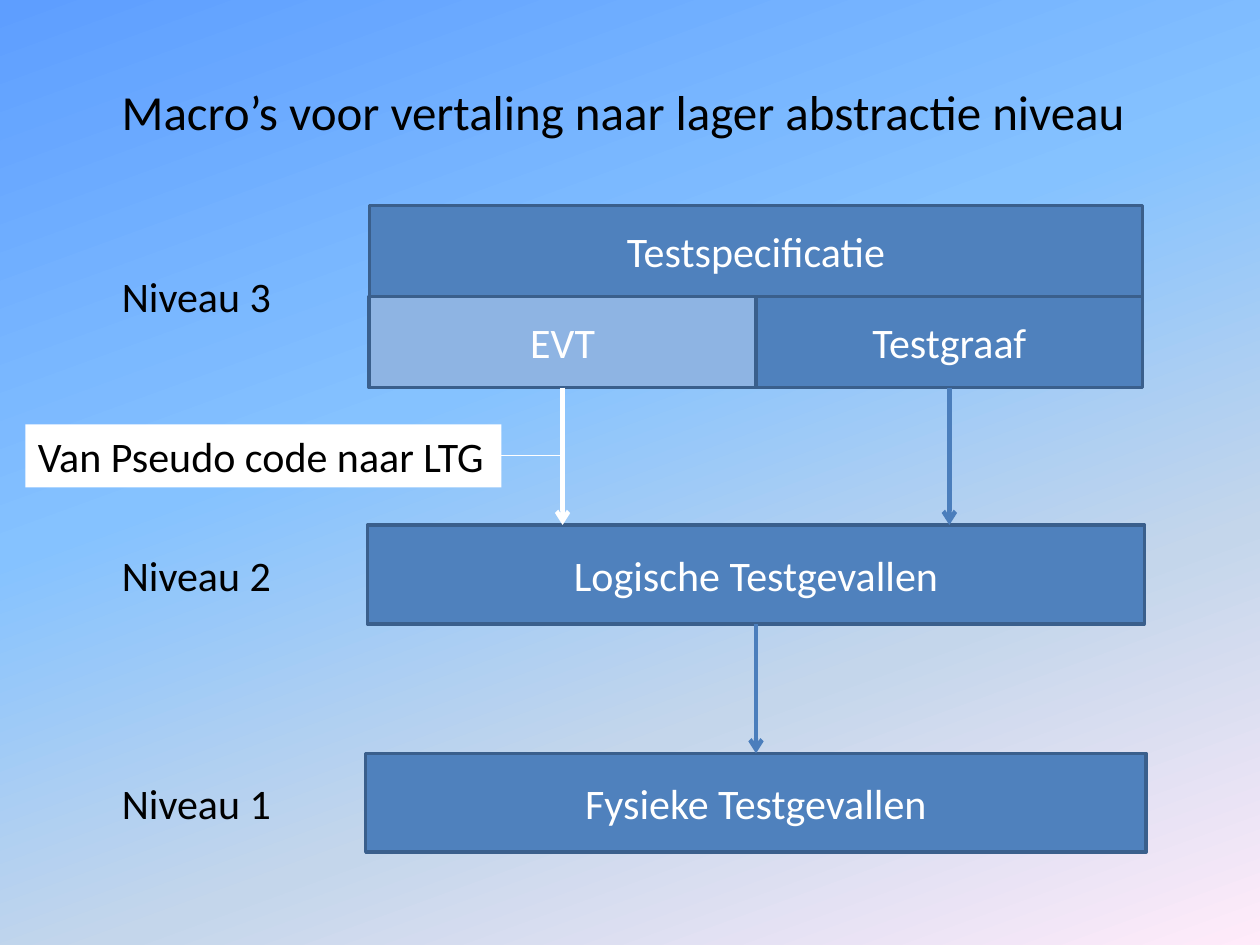
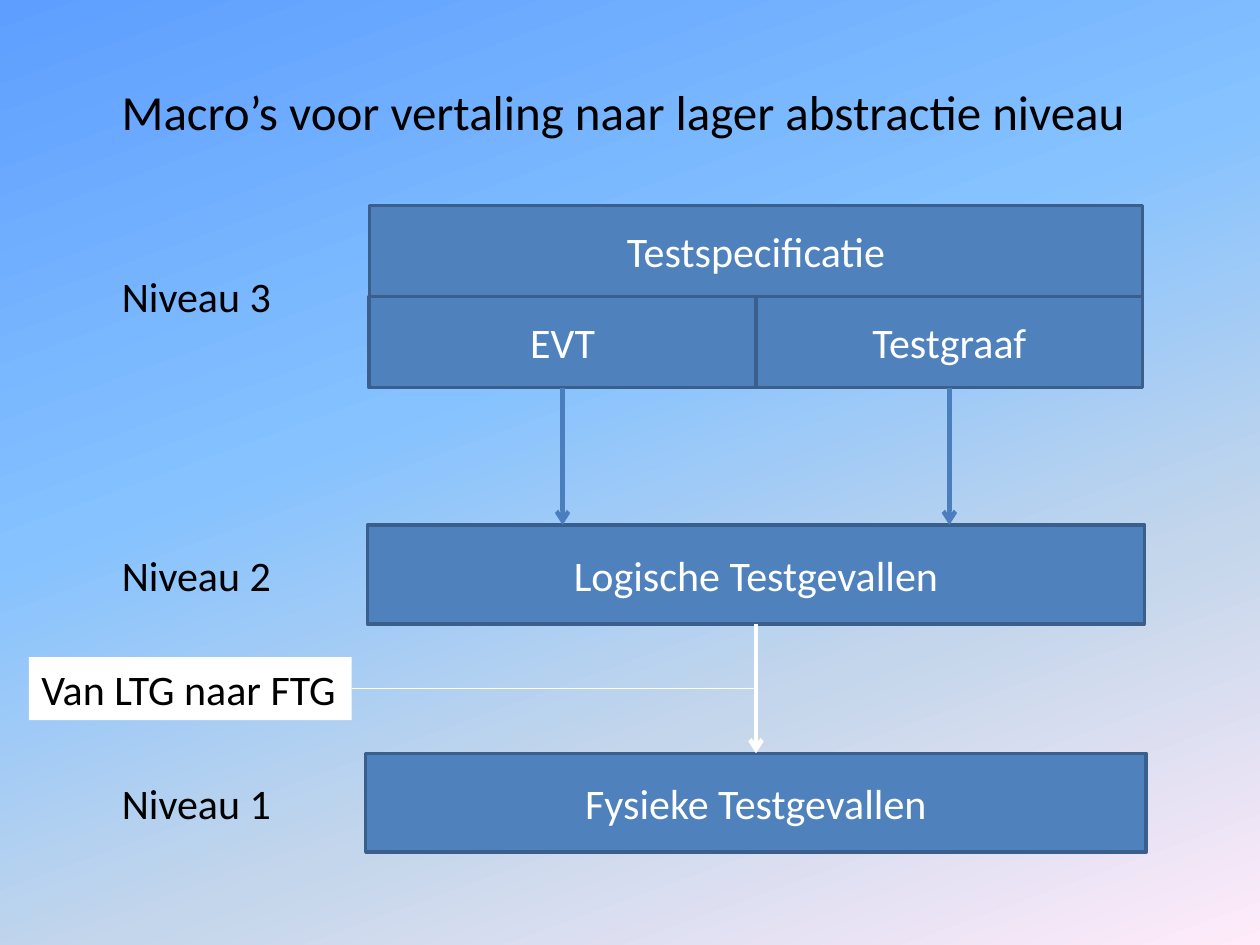
from copy import deepcopy

from pptx import Presentation
from pptx.dml.color import RGBColor
from pptx.enum.shapes import MSO_CONNECTOR as Connector, MSO_SHAPE as Shape
from pptx.enum.text import MSO_ANCHOR as Anchor, MSO_AUTO_SIZE as AutoSize, PP_ALIGN as Align
from pptx.oxml.ns import qn
from pptx.oxml.xmlchemy import OxmlElement
from pptx.util import Pt

COLOURS = {
    "box": "4F81BD", "marked box": "8EB4E3", "border": "3A5F8C",
    "arrow": "4B7EBC", "white": "FFFFFF", "black": "000000",
}
BACKGROUND = [(0, "5E9EFF"), (0.4, "85C2FF"), (0.7, "C4D6EB"), (1, "FFEBFA")]
FONT = "Calibri"
TOP, LEFT, BOTTOM, RIGHT = range(4)

# Diagram measures in points
CENTRE = 432
LABEL_LEFT = 62.5
LINE_HEIGHT = 36
SPEC_TOP, SPEC_HEIGHT, SPEC_WIDTH = 117.5, 52, 442
HALF = SPEC_WIDTH / 2
LOGICAL_TOP, PHYSICAL_TOP, LEVEL_HEIGHT = 300, 430.5, 56.5


def rgb(name):
    return RGBColor.from_string(COLOURS[name])


class Diagram:
    """Holds the shared style and the current slide."""

    def __init__(self):
        self.deck = Presentation()
        self.deck.slide_width, self.deck.slide_height = Pt(720), Pt(540)
        self.page = None
        self.set_background()

    def set_background(self):
        master = self.deck.slide_master
        fill = master.background.fill
        fill.gradient()
        fill.gradient_angle = 290
        stops = master.element.find(".//" + qn("a:gsLst"))
        while len(stops) < len(BACKGROUND):
            stops.append(deepcopy(stops[0]))
        for stop, (position, colour) in zip(fill.gradient_stops, BACKGROUND):
            stop.position = position
            stop.color.rgb = RGBColor.from_string(colour)

    def new_page(self):
        self.page = self.deck.slides.add_slide(self.deck.slide_layouts[6])

    def put_text(self, shape, text, colour, size=24, align=Align.LEFT, **frame_format):
        frame = shape.text_frame
        for name, value in frame_format.items():
            setattr(frame, name, value)
        para = frame.paragraphs[0]
        para.alignment = align
        span = para.add_run()
        span.text = text
        for name, value in {"name": FONT, "size": Pt(size)}.items():
            setattr(span.font, name, value)
        span.font.color.rgb = rgb(colour)

    def rectangle(self, left, top, width, height, fill):
        box = self.page.shapes.add_shape(
            Shape.RECTANGLE, Pt(left), Pt(top), Pt(width), Pt(height))
        box.shadow.inherit = False
        box.fill.solid()
        box.fill.fore_color.rgb = rgb(fill)
        return box

    def box(self, text, centre, top, width, height, fill="box"):
        box = self.rectangle(centre - width / 2, top, width, height, fill)
        box.line.color.rgb = rgb("border")
        box.line.width = Pt(2)
        self.put_text(box, text, "white", align=Align.CENTER,
                      vertical_anchor=Anchor.MIDDLE, word_wrap=True)
        return box

    def label(self, text, top, width, height=LINE_HEIGHT, size=24, wrap=False):
        label = self.page.shapes.add_textbox(
            Pt(LABEL_LEFT), Pt(top), Pt(width), Pt(height))
        self.put_text(label, text, "black", size, word_wrap=wrap,
                      auto_size=AutoSize.SHAPE_TO_FIT_TEXT)

    def line(self, start, side, x, y, colour, width):
        """Lead a line from the middle of a side of start to the point x, y."""
        line = self.page.shapes.add_connector(
            Connector.STRAIGHT, 0, 0, Pt(x), Pt(y))
        line.begin_connect(start, side)
        line.line.color.rgb = rgb(colour)
        line.line.width = Pt(width)
        line.element.spPr.append(OxmlElement("a:effectLst"))
        return line

    def arrow(self, start, x, y, colour):
        arrow = self.line(start, BOTTOM, x, y, colour, 2.5)
        head = OxmlElement("a:tailEnd")
        head.set("type", "arrow")
        arrow.element.spPr.find(qn("a:ln")).append(head)
        return arrow

    def callout(self, text, left, top, width, target):
        note = self.rectangle(left, top, width, LINE_HEIGHT, "white")
        note.line.fill.background()
        self.put_text(note, text, "black", word_wrap=False, vertical_anchor=Anchor.TOP,
                      auto_size=AutoSize.SHAPE_TO_FIT_TEXT)
        self.line(note, RIGHT, target, top + LINE_HEIGHT / 2, "white", 0.75)

    def levels(self, evt_fill="box", evt_arrow="arrow", physical_arrow="arrow"):
        # Title and level labels
        self.label("Macro’s voor vertaling naar lager abstractie niveau",
                   43, 590.5, 41, size=28, wrap=True)
        for level, top in ((3, 151), (2, 310.5), (1, 440.5)):
            self.label(f"Niveau {level}", top, 101)

        # Level boxes
        half_top = SPEC_TOP + SPEC_HEIGHT
        evt = self.box("EVT", CENTRE - HALF / 2, half_top, HALF, SPEC_HEIGHT, evt_fill)
        graph = self.box("Testgraaf", CENTRE + HALF / 2, half_top, HALF, SPEC_HEIGHT)
        self.box("Testspecificatie", CENTRE, SPEC_TOP, SPEC_WIDTH, SPEC_HEIGHT)
        logical = self.box("Logische Testgevallen", CENTRE, LOGICAL_TOP, 444, LEVEL_HEIGHT)
        physical = self.box("Fysieke Testgevallen", CENTRE, PHYSICAL_TOP, 446, LEVEL_HEIGHT)

        # Translations between levels
        self.arrow(evt, CENTRE - HALF / 2, LOGICAL_TOP, evt_arrow)
        self.arrow(graph, CENTRE + HALF / 2, LOGICAL_TOP, "arrow")
        down = self.arrow(logical, CENTRE, PHYSICAL_TOP, physical_arrow)
        down.end_connect(physical, TOP)


def main():
    diagram = Diagram()

    # From pseudo code to logical test cases
    diagram.new_page()
    diagram.levels(evt_fill="marked box", evt_arrow="white")
    diagram.callout("Van Pseudo code naar LTG", 14.5, 242.5, 272, CENTRE - HALF / 2)

    # From logical to physical test cases
    diagram.new_page()
    diagram.levels(physical_arrow="white")
    diagram.callout("Van LTG naar FTG", 16.5, 375.5, 184.5, CENTRE)

    diagram.deck.save("out.pptx")


if __name__ == "__main__":
    main()
